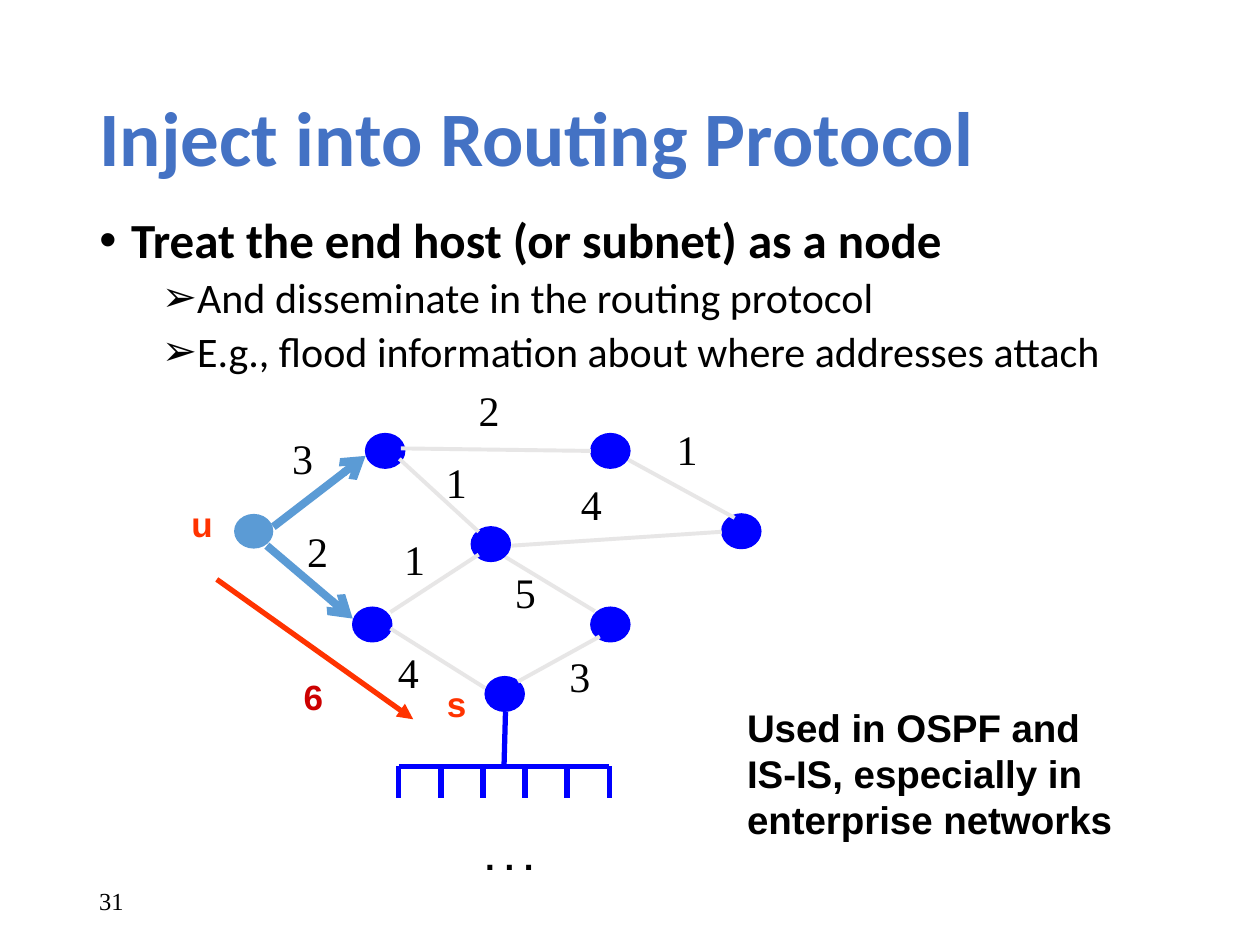
from dataclasses import dataclass

from pptx import Presentation as Deck
from pptx.dml.color import RGBColor as Rgb
from pptx.enum.shapes import MSO_CONNECTOR as Link, MSO_SHAPE as Form
from pptx.enum.text import MSO_ANCHOR as Anchor, MSO_AUTO_SIZE as Fit, PP_ALIGN as Align
from pptx.oxml.ns import qn
from pptx.oxml.xmlchemy import OxmlElement as Node
from pptx.util import Cm, Pt


@dataclass(frozen=True)
class Theme:
    head: str = "Calibri"
    sans: str = "Arial"
    serif: str = "Times New Roman"
    title: str = "4472C4"
    ink: str = "000000"
    blue: str = "0000FF"
    sky: str = "5B9BD5"
    grey: str = "E7E6E6"
    red: str = "FF3300"
    dark: str = "CC0000"
    title_size: int = 44
    list_size: int = 28
    sub_size: int = 24
    cost_size: int = 24
    note_size: int = 22
    tag_size: int = 20
    page_size: int = 14


class Sketch:
    """Draws on one slide in one theme; all lengths are in cm."""

    def __init__(self, slide, theme):
        self.slide = slide
        self.theme = theme

    def place(self, shape, box):
        shape.left, shape.top, shape.width, shape.height = map(Cm, box)

    def add_run(self, para, text, size, font, color, bold=False):
        run = para.add_run()
        run.text = text
        run.font.size = Pt(size)
        run.font.name = font
        run.font.bold = bold
        run.font.color.rgb = Rgb.from_string(color)

    def title(self, text, box):
        shape = self.slide.shapes.title
        self.place(shape, box)
        frame = shape.text_frame
        frame.auto_size = Fit.NONE
        frame.vertical_anchor = Anchor.MIDDLE
        para = frame.paragraphs[0]
        para.alignment = Align.LEFT
        para.line_spacing = 0.9
        t = self.theme
        self.add_run(para, text, t.title_size, t.head, t.title, True)

    def list(self, items, box):
        """Fill the body placeholder with (level, text) items."""
        shape = self.slide.placeholders[1]
        self.place(shape, box)
        frame = shape.text_frame
        frame.auto_size = Fit.NONE
        t = self.theme
        for i, (level, text) in enumerate(items):
            para = frame.add_paragraph() if i else frame.paragraphs[0]
            para.level = level
            para.line_spacing = 0.9
            para.space_before = Pt(5 if level else 10)
            para.space_after = Pt(0)
            self.mark(para, "➢" if level else "•", 1.9 if level else 0.64)
            size = t.sub_size if level else t.list_size
            self.add_run(para, text, size, t.head, t.ink, not level)

    def mark(self, para, char, left):
        """Give a paragraph a hanging bullet."""
        props = para._p.get_or_add_pPr()
        props.set("marL", str(Cm(left)))
        props.set("indent", str(Cm(-0.64)))
        font = Node("a:buFont")
        font.set("typeface", self.theme.sans)
        sign = Node("a:buChar")
        sign.set("char", char)
        props.extend([font, sign])

    def text(self, lines, box, size, font, color, bold=False, wrap=False, anchor=Anchor.TOP):
        frame = self.slide.shapes.add_textbox(*map(Cm, box)).text_frame
        frame.word_wrap = wrap
        frame.vertical_anchor = anchor
        for i, line in enumerate(lines):
            para = frame.add_paragraph() if i else frame.paragraphs[0]
            self.add_run(para, line, size, font, color, bold)

    def tag(self, text, x, y, color):
        t = self.theme
        self.text([text], (x, y, 0.94, 1.1), t.tag_size, t.sans, color, True)

    def cost(self, text, x, y):
        t = self.theme
        self.text([text], (x, y, 0.94, 1.27), t.cost_size, t.serif, t.ink)

    def dot(self, x, y, color, edge=True):
        dot = self.slide.shapes.add_shape(Form.OVAL, *map(Cm, (x, y, 0.79, 0.7)))
        dot.shadow.inherit = False
        dot.fill.solid()
        dot.fill.fore_color.rgb = Rgb.from_string(color)
        if edge:
            dot.line.color.rgb = Rgb.from_string(color)
            dot.line.width = Pt(0.75)
        else:
            dot.line.fill.background()

    def line(self, ends, color, width, tip=None):
        link = self.slide.shapes.add_connector(Link.STRAIGHT, *map(Cm, ends))
        link.line.color.rgb = Rgb.from_string(color)
        link.line.width = Pt(width)
        props = link.element.spPr
        if tip:
            tail = Node("a:tailEnd")
            tail.set("type", tip)
            props.find(qn("a:ln")).append(tail)
        props.append(Node("a:effectLst"))


def main():
    deck = Deck()
    deck.slide_width, deck.slide_height = Cm(25.4), Cm(19.05)
    t = Theme()
    art = Sketch(deck.slides.add_slide(deck.slide_layouts[1]), t)

    art.title("Inject into Routing Protocol", (1.75, 1.02, 21.89, 3.68))
    art.list([
        (0, "Treat the end host (or subnet) as a node"),
        (1, "And disseminate in the routing protocol"),
        (1, "E.g., flood information about where addresses attach"),
    ], (1.75, 4.22, 21.89, 12.09))
    art.text(["31"], (1.75, 17.65, 5.72, 1.02), t.page_size, t.serif, t.ink,
             wrap=True, anchor=Anchor.MIDDLE)

    # Routers
    art.dot(4.72, 10.36, t.sky, edge=False)
    for x, y in [(7.11, 12.24), (7.37, 8.74), (9.5, 10.62), (11.91, 12.24),
                 (11.91, 8.74), (9.78, 13.64), (14.55, 10.36)]:
        art.dot(x, y, t.blue)

    # Links: the first hops from u, then the rest
    for ends in [(5.51, 10.62, 7.37, 9.19), (5.38, 11, 7.11, 12.47)]:
        art.line(ends, t.sky, 4.5, "arrow")
    for ends in [(8.05, 9.25, 9.65, 10.72), (7.87, 12.67, 9.78, 13.87),
                 (7.87, 12.34, 9.65, 11.18), (10.19, 11.23, 11.99, 12.32),
                 (10.44, 13.74, 12.09, 12.83), (10.31, 11, 14.55, 10.72),
                 (8.08, 9.04, 11.91, 9.09), (12.67, 9.27, 14.81, 10.44)]:
        art.line(ends, t.grey, 2.25)

    for text, x, y in [("3", 5.64, 8.59), ("2", 9.4, 7.62), ("2", 5.94, 10.46),
                       ("1", 8.74, 9.07), ("1", 7.9, 10.64), ("4", 11.46, 9.53),
                       ("1", 13.39, 8.41), ("4", 7.77, 12.9), ("5", 10.13, 11.3),
                       ("3", 11.23, 12.98)]:
        art.cost(text, x, y)

    # Route from u to s
    art.tag("u", 3.61, 10.01, t.red)
    art.tag("s", 8.76, 13.64, t.red)
    art.line((4.37, 11.68, 8.33, 14.5), t.red, 3, "triangle")
    art.tag("6", 5.87, 13.49, t.dark)

    # Subnet below s: a trunk, a bus and evenly spaced hosts
    left, right, top, hosts = 8.04, 12.28, 15.45, 6
    art.line((10.19, 14.35, 10.16, top), t.blue, 3)
    art.line((left, top, right, top), t.blue, 3)
    gap = (right - left) / (hosts - 1)
    for i in range(hosts):
        x = left + i * gap
        art.line((x, top, x, top + 0.63), t.blue, 3)

    art.text(["Used in OSPF and", "IS-IS, especially in enterprise networks"],
             (14.81, 14.07, 8.46, 3.07), t.note_size, t.sans, t.ink, True, wrap=True)
    art.text([". . ."], (9.53, 16.71, 1.5, 1.12), t.tag_size, t.sans, t.ink, True)

    deck.save("out.pptx")


if __name__ == "__main__":
    main()
